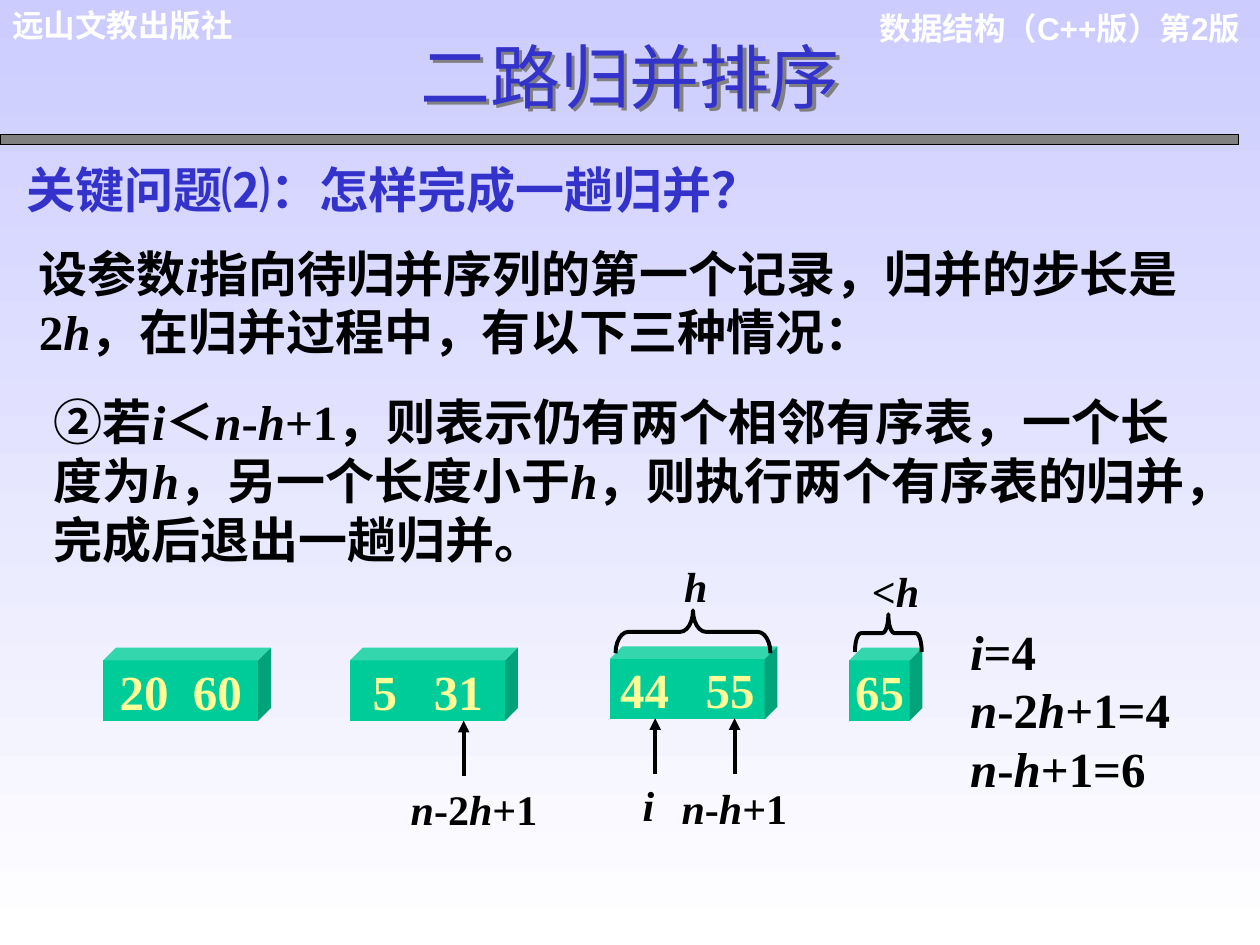
from lxml.etree import SubElement
from pptx import Presentation
from pptx.dml.color import RGBColor
from pptx.enum.lang import MSO_LANGUAGE_ID
from pptx.enum.shapes import MSO_CONNECTOR, MSO_SHAPE
from pptx.enum.text import MSO_ANCHOR, MSO_AUTO_SIZE, PP_ALIGN
from pptx.oxml import parse_xml
from pptx.oxml.ns import nsdecls, qn
from pptx.util import Inches, Pt

COLUMNS, ROWS = 100, 75
BLUE, BLACK, WHITE, GREY = "3333CC", "000000", "FFFFFF", "808080"
GREEN, YELLOW, LILAC = "00CC99", "FFFF97", "CCCCFF"
SERIF, SANS, CHINESE = "Times New Roman", "Arial", "Noto Sans CJK SC"


def colour(value):
    return RGBColor.from_string(value)


class SlideBuilder:
    """Places elements on a grid of 100 columns by 75 rows."""

    def __init__(self, presentation):
        self.column = presentation.slide_width / COLUMNS
        self.row = presentation.slide_height / ROWS
        self.slide = presentation.slides.add_slide(presentation.slide_layouts[5])
        self.shapes = self.slide.shapes

    def place(self, left, top, width, height):
        return (round(left * self.column), round(top * self.row),
                round(width * self.column), round(height * self.row))

    def background(self, top, bottom):
        fill = self.slide.background.fill
        fill.gradient()
        fill.gradient_angle = 270
        for stop, value, position in zip(fill.gradient_stops, (top, bottom), (0, 1)):
            stop.color.rgb = colour(value)
            stop.position = position

    def run(self, paragraph, text, size, value, font=SERIF, bold=True, italic=False):
        run = paragraph.add_run()
        run.text = text
        run.font.size, run.font.bold, run.font.italic = Pt(size), bold, italic
        run.font.color.rgb = colour(value)
        run.font.name = font
        run.font.language_id = MSO_LANGUAGE_ID.SIMPLIFIED_CHINESE
        # Chinese characters stay sans serif beside serif Latin letters
        east_asian = SubElement(run.font._element, qn("a:ea"))
        east_asian.set("typeface", SANS if font == SERIF else font)

    def title(self, box, parts):
        title = self.shapes.title
        title.left, title.top, title.width, title.height = self.place(*box)
        title._element.spPr.append(parse_xml(
            f'<a:effectLst {nsdecls("a")}><a:outerShdw dist="35921" dir="2700000">'
            f'<a:srgbClr val="{GREY}"/></a:outerShdw></a:effectLst>'))
        frame = title.text_frame
        frame.auto_size = MSO_AUTO_SIZE.NONE
        frame.vertical_anchor = MSO_ANCHOR.BOTTOM
        paragraph = frame.paragraphs[0]
        paragraph.alignment = PP_ALIGN.CENTER
        for text, font in parts:
            self.run(paragraph, text, 40, BLUE, font, bold=False)

    def text(self, box, lines, size=28, value=BLACK, font=SERIF,
             inset=True, align=PP_ALIGN.LEFT):
        """Writes lines in which every part between asterisks is italic."""
        frame = self.shapes.add_textbox(*self.place(*box)).text_frame
        frame.word_wrap = True
        if not inset:
            frame.margin_left = frame.margin_right = 0
            frame.margin_top = frame.margin_bottom = 0
        for index, line in enumerate(lines):
            paragraph = frame.paragraphs[0] if index == 0 else frame.add_paragraph()
            paragraph.alignment = align
            for number, part in enumerate(line.split("*")):
                if part:
                    self.run(paragraph, part, size, value, font, italic=number % 2 == 1)

    def label(self, box, text):
        self.text(box, [text], size=24, inset=False)

    def shape(self, kind, box, fill=None, line=None, weight=0.75):
        shape = self.shapes.add_shape(kind, *self.place(*box))
        shape.shadow.inherit = False
        if fill:
            shape.fill.solid()
            shape.fill.fore_color.rgb = colour(fill)
        else:
            shape.fill.background()
        if line:
            shape.line.color.rgb = colour(line)
            shape.line.width = Pt(weight)
        else:
            shape.line.fill.background()
        return shape

    def cube(self, left, top, width, numbers, spaces=0):
        """Centres the numbers on the front face, with a tab between them."""
        digit, depth = 0.194, 0.1
        gap = spaces * digit / 2
        cube = self.shape(MSO_SHAPE.CUBE, (left, top, width, 5.8), GREEN)
        cube.adjustments[0] = 0.173
        frame = cube.text_frame
        frame.word_wrap = True
        frame.vertical_anchor = MSO_ANCHOR.MIDDLE
        content = len("".join(numbers)) * digit + gap
        frame.margin_left = Inches((width / 10 - depth - content) / 2)
        frame.margin_right = 0
        paragraph = frame.paragraphs[0]
        paragraph.alignment = PP_ALIGN.LEFT
        if spaces:
            tabs = SubElement(paragraph._p.get_or_add_pPr(), qn("a:tabLst"))
            position = Inches(len(numbers[0]) * digit + gap)
            SubElement(tabs, qn("a:tab"), pos=str(position), algn="l")
        self.run(paragraph, "\t".join(numbers), 28, YELLOW)

    def arrow_up(self, x, bottom, length=4.4):
        start_x, start_y, _, rise = self.place(x, bottom, 0, length)
        arrow = self.shapes.add_connector(
            MSO_CONNECTOR.STRAIGHT, start_x, start_y, start_x, start_y - rise)
        arrow.line.color.rgb = colour(BLACK)
        arrow.line.width = Pt(2.25)
        SubElement(arrow.line._get_or_add_ln(), qn("a:tailEnd"), type="triangle")
        SubElement(arrow._element.spPr, qn("a:effectLst"))

    def brace(self, box, curve):
        brace = self.shape(MSO_SHAPE.LEFT_BRACE, box, line=BLACK, weight=2.25)
        brace.rotation = 90
        brace.adjustments[0] = curve


def main():
    presentation = Presentation()
    presentation.slide_width, presentation.slide_height = Inches(10), Inches(7.5)
    builder = SlideBuilder(presentation)
    builder.background(LILAC, WHITE)

    # Header and title
    builder.text((67.7, 0.2, 31.7, 7), ["数据结构（C++版）第2版"], 18, WHITE, SANS,
                 align=PP_ALIGN.RIGHT)
    builder.text((0, 0, 27.1, 4), ["远山文教出版社"], 18, WHITE, SANS)
    builder.shape(MSO_SHAPE.RECTANGLE, (0, 10.7, 98.3, 0.8), GREY, BLACK)
    builder.title((0, 2.5, 100, 7.3), [("二路归并", "Lato"), ("排序", CHINESE)])

    # Question and explanation
    builder.text((1.1, 12.2, 96.1, 5.7), ["关键问题⑵：怎样完成一趟归并？"],
                 value=BLUE, font=SANS)
    builder.text((2.1, 18.8, 95.2, 10.4), [
        "设参数*i*指向待归并序列的第一个记录，归并的步长是2*h*，在归并过程中，有以下三种情况："])
    builder.text((3.3, 30.6, 93.7, 15), [
        "②若*i*＜*n*-*h*+1，则表示仍有两个相邻有序表，一个长度为*h*，另一个长度小于*h*"
        "，则执行两个有序表的归并，完成后退出一趟归并。"])

    # Sorted runs
    builder.cube(8.2, 51.4, 13.3, ["20", "60"], spaces=2)
    builder.cube(27.8, 51.4, 13.3, ["5", "31"], spaces=3)
    builder.cube(48.4, 51.3, 13.3, ["44", "55"], spaces=3)
    builder.cube(67.4, 51.4, 5.8, ["65"])

    # Lengths above the runs
    builder.brace((53.3, 44, 3.4, 12.3), 0.3)
    builder.label((54.3, 44.5, 3, 4), "*h*")
    builder.brace((69, 47.6, 3, 5.3), 0.16)
    builder.label((69.2, 44.9, 4.9, 4), "<*h*")

    # Positions below the runs
    for x, bottom in ((36.8, 61.6), (52, 61.4), (58.3, 61.4)):
        builder.arrow_up(x, bottom)
    builder.label((32.6, 62.2, 11.3, 4), "*n*-2*h*+1")
    builder.label((51, 61.9, 2, 4), "*i*")
    builder.label((54.1, 62.1, 11.3, 4), "*n*-*h*+1")

    # Current values
    builder.text((77, 49.3, 18.7, 14), ["*i*=4", "*n*-2*h*+1=4", "*n*-*h*+1=6"],
                 inset=False)

    presentation.save("out.pptx")


if __name__ == "__main__":
    main()
